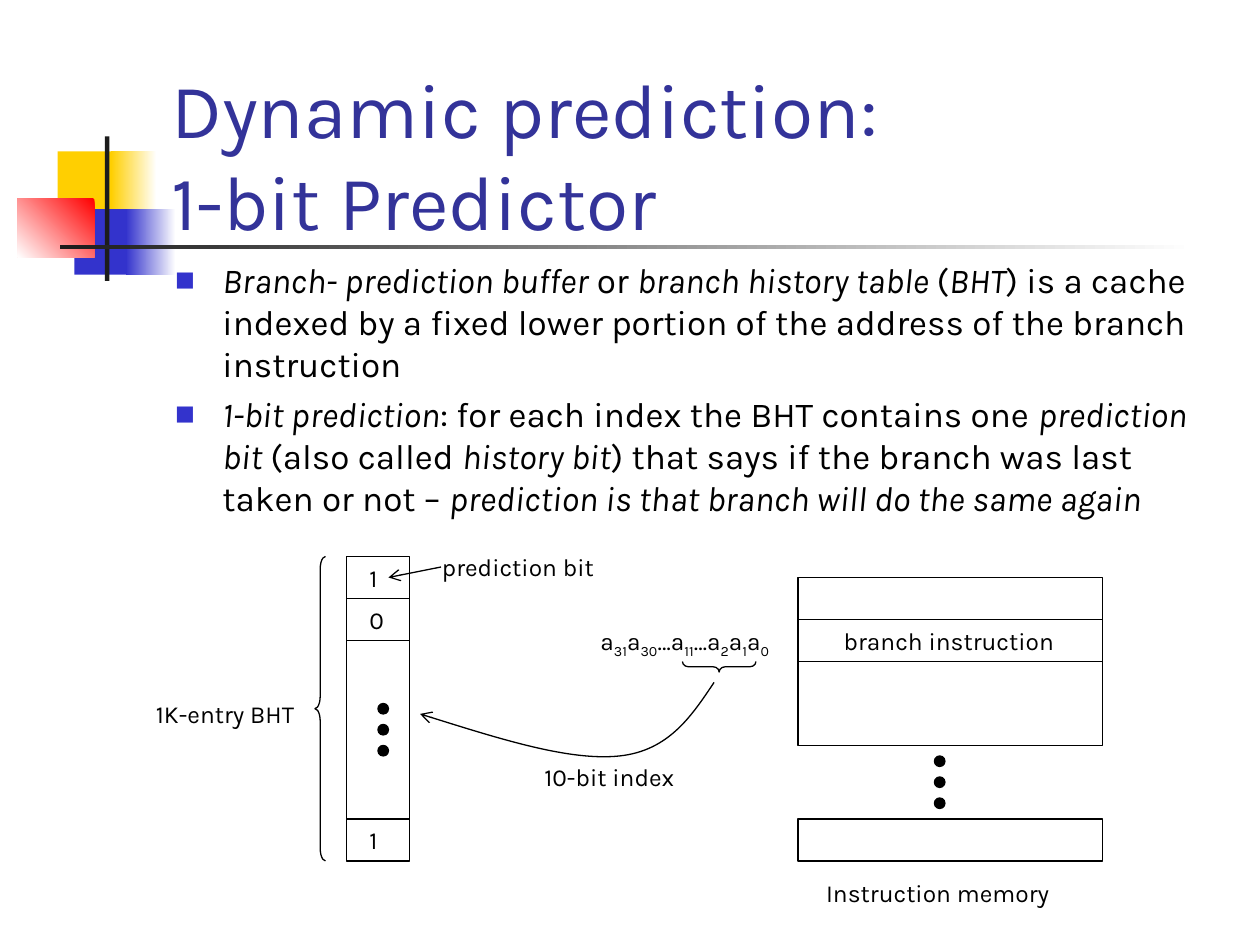
from lxml import etree
from pptx import Presentation
from pptx.dml.color import RGBColor
from pptx.enum import shapes, text
from pptx.oxml import ns
from pptx.util import Pt

FONT = "Karla"
BLACK = "000000"
WHITE = "FFFFFF"
BLUE = "3333CC"
DARK = "1C1C1C"
LINE_WIDTH = 0.75

DEFINITIONS = [
    [("Branch- prediction buffer", True), (" or ", False),
     ("branch history table ", True), ("(", False), ("BHT", True),
     (") is a cache indexed by a fixed lower portion of the address of the "
      "branch instruction", False)],
    [("1-bit prediction", True),
     (": for each index the BHT contains one ", False),
     ("prediction bit", True), (" (also called ", False),
     ("history bit", True),
     (") that says if the branch was last taken or not – ", False),
     ("prediction is that branch will do the same again", True)],
]
ADDRESS_BITS = [("a", "31"), ("a", "30"), ("…a", "11"),
                ("…a", "2"), ("a", "1"), ("a", "0")]
LABELS = [
    ("branch instruction", 475, 354, 136),
    ("1K-entry BHT", 82, 396, 101),
    ("10-bit index", 304, 432, 92),
    ("1", 204, 318, 22),
    ("0", 204, 342, 22),
    ("1", 204, 468, 22),
    ("prediction bit", 245.5, 312, 102),
    ("Instruction memory", 465, 498, 146),
]


def color(value):
    return RGBColor.from_string(value)


def add_child(parent, tag, **attributes):
    return etree.SubElement(parent, ns.qn(tag), attributes)


def style_line(item, arrow=False):
    """Draw a thin black line without shadow, with an open head if asked."""
    item.line.color.rgb = color(BLACK)
    item.line.width = Pt(LINE_WIDTH)
    if arrow:
        add_child(item.line._get_or_add_ln(), "a:tailEnd", type="arrow")
    add_child(item._element.spPr, "a:effectLst")


def add_shape(page, kind, left, top, width, height, fill=None):
    """Add an outlined preset shape, hollow unless a fill is given."""
    shape = page.shapes.add_shape(kind, Pt(left), Pt(top), Pt(width), Pt(height))
    if fill:
        shape.fill.solid()
        shape.fill.fore_color.rgb = color(fill)
    else:
        shape.fill.background()
    style_line(shape)
    return shape


def add_block(page, left, top, width, height, fills, angle=0):
    """Add an unlined rectangle, with a gradient if two fills are given."""
    block = add_shape(page, shapes.MSO_SHAPE.RECTANGLE,
                      left, top, width, height, fills[0])
    block.line.fill.background()
    if len(fills) == 2:
        block.fill.gradient()
        block.fill.gradient_angle = angle
        for stop, value in zip(block.fill.gradient_stops, fills):
            stop.color.rgb = color(value)


def add_line(page, x1, y1, x2, y2, arrow=False):
    line = page.shapes.add_connector(
        shapes.MSO_CONNECTOR.STRAIGHT, Pt(x1), Pt(y1), Pt(x2), Pt(y2))
    style_line(line, arrow)
    return line


def add_brace(page, left, top, width, height, curl, rotation=0):
    brace = add_shape(page, shapes.MSO_SHAPE.LEFT_BRACE, left, top, width, height)
    brace.adjustments[0] = curl
    brace.rotation = rotation


def add_dots(page, left, top):
    for step in range(3):
        add_shape(page, shapes.MSO_SHAPE.OVAL, left, top + 12 * step, 6, 6, BLACK)


def add_curve(page, start, *points):
    """Add an arrow of cubic curves: two control points and an end for each."""
    builder = page.shapes.build_freeform(Pt(start[0]), Pt(start[1]))
    builder.add_line_segments([(Pt(x), Pt(y)) for x, y in points], close=False)
    curve = builder.convert_to_shape()
    curve.fill.background()
    style_line(curve, arrow=True)
    segments = list(curve._element.iter(ns.qn("a:lnTo")))
    for first in range(0, len(segments), 3):
        cubic = add_child(segments[first].getparent(), "a:cubicBezTo")
        for segment in segments[first:first + 3]:
            cubic.append(segment[0])
            segment.getparent().remove(segment)


def add_box(page, left, top, width, height, wrap=True):
    box = page.shapes.add_textbox(Pt(left), Pt(top), Pt(width), Pt(height))
    box.text_frame.word_wrap = wrap
    if not wrap:
        box.text_frame.auto_size = text.MSO_AUTO_SIZE.SHAPE_TO_FIT_TEXT
    return box


def add_span(para, words, size, fill=BLACK, italic=None):
    span = para.add_run()
    span.text = words
    style_span(span, size, fill, italic)
    return span


def style_span(span, size, fill=BLACK, italic=None):
    span.font.name = FONT
    span.font.size = Pt(size)
    span.font.color.rgb = color(fill)
    span.font.italic = italic


def add_label(page, words, left, top, width):
    box = add_box(page, left, top, width, 24.5, wrap=False)
    add_span(box.text_frame.paragraphs[0], words, 14)


def add_address(page):
    box = add_box(page, 336, 354, 126, 26.5, wrap=False)
    para = box.text_frame.paragraphs[0]
    for letter, index in ADDRESS_BITS:
        add_span(para, letter, 14)
        subscript = add_span(para, index, 14)
        subscript.font._element.set("baseline", "-25000")


def add_bullet(para):
    properties = para._p.get_or_add_pPr()
    properties.set("marL", str(Pt(27)))
    properties.set("indent", str(Pt(-27)))
    add_child(add_child(properties, "a:buClr"), "a:srgbClr", val=BLUE)
    add_child(properties, "a:buSzPct", val="60000")
    add_child(properties, "a:buFont", typeface=FONT)
    add_child(properties, "a:buChar", char="■")


def add_title(page):
    frame = add_box(page, 90.75, 54, 613.5, 90).text_frame
    frame.vertical_anchor = text.MSO_ANCHOR.BOTTOM
    frame.text = "Dynamic prediction:\v1-bit Predictor"
    for span in frame.paragraphs[0].runs:
        style_span(span, 44, "333399")


def add_definitions(page):
    frame = add_box(page, 93, 144, 612, 324).text_frame
    for number, spans in enumerate(DEFINITIONS):
        para = frame.add_paragraph() if number else frame.paragraphs[0]
        para.space_before = Pt(5)
        add_bullet(para)
        for words, italic in spans:
            add_span(para, words, 20, italic=italic)


def add_ornament(page):
    add_block(page, 33, 86.5, 34.5, 37.5, ["FFCF01"])
    add_block(page, 63.5, 86.5, 26, 37.5, [WHITE, "FFCF01"], 180)
    add_block(page, 42.5, 119.5, 33.5, 37.5, [BLUE])
    add_block(page, 72, 119.5, 28.5, 37.5, [WHITE, BLUE], 180)
    add_block(page, 10, 113.5, 44, 33.5, ["FF0000", WHITE], 225)
    add_block(page, 60, 78, 2.5, 82.5, [DARK])
    add_block(page, 34.5, 140, 648, 2.5, [WHITE, DARK], 180)


def add_history_table(page):
    add_shape(page, shapes.MSO_SHAPE.RECTANGLE, 198, 318, 36, 174)
    for y in (342, 366, 468):
        add_line(page, 198, y, 234, y)
    add_dots(page, 216, 402)
    add_brace(page, 180, 318, 6, 174, 1.2)
    add_line(page, 252, 324, 222, 330, arrow=True)


def add_memory(page):
    memory = add_shape(page, shapes.MSO_SHAPE.RECTANGLE, 456, 330, 174, 96)
    add_line(page, 456, 354, 630, 354)
    middle = add_line(page, 456, 378, 630, 378)
    middle.begin_connect(memory, 1)
    middle.end_connect(memory, 3)
    add_shape(page, shapes.MSO_SHAPE.RECTANGLE, 456, 468, 174, 24)
    add_dots(page, 534, 432)


def main():
    deck = Presentation()
    deck.slide_width, deck.slide_height = Pt(720), Pt(540)
    page = deck.slides.add_slide(deck.slide_layouts[6])
    add_ornament(page)
    add_title(page)
    add_definitions(page)
    add_history_table(page)
    add_memory(page)
    add_address(page)
    add_brace(page, 408, 360, 6, 42, 0.58, rotation=270)
    add_curve(page, (408, 390), (395, 409.5), (382, 429), (354, 432),
              (326, 435), (283, 421.5), (240, 408))
    for label in LABELS:
        add_label(page, *label)
    deck.save("out.pptx")


if __name__ == "__main__":
    main()
